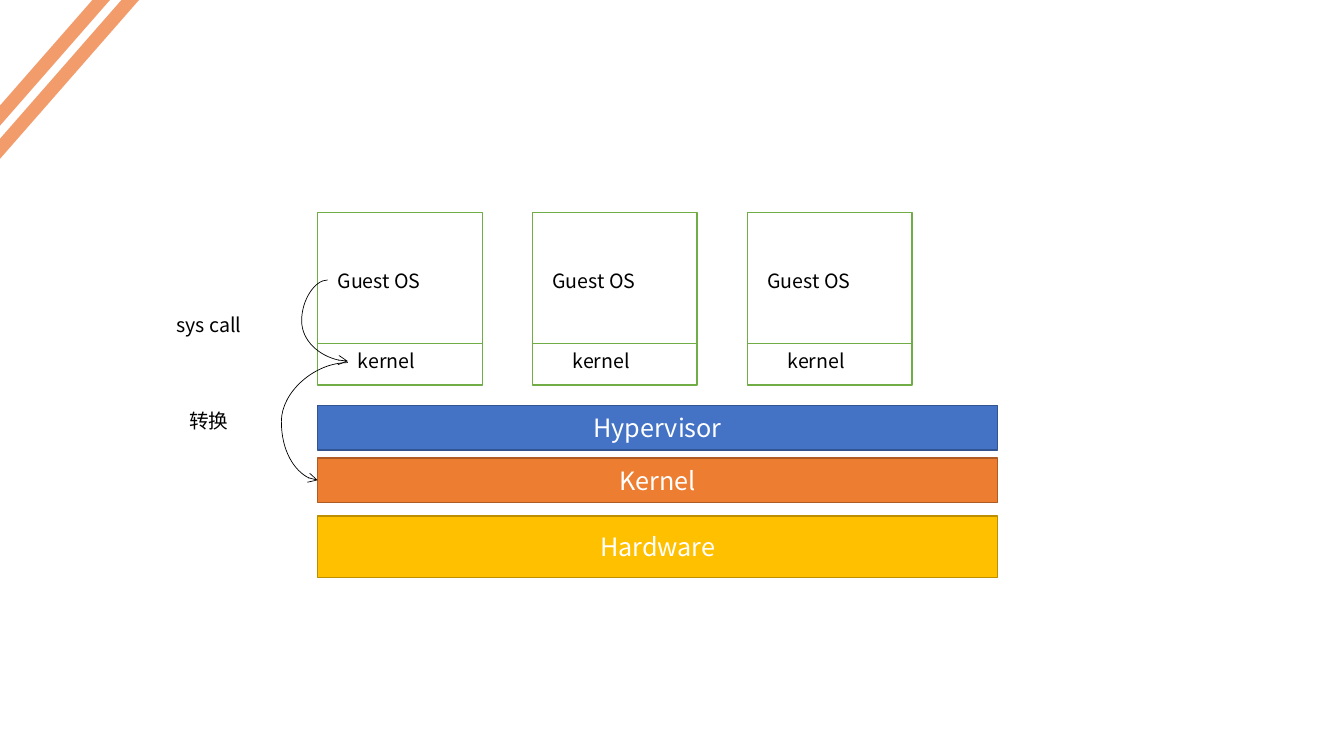
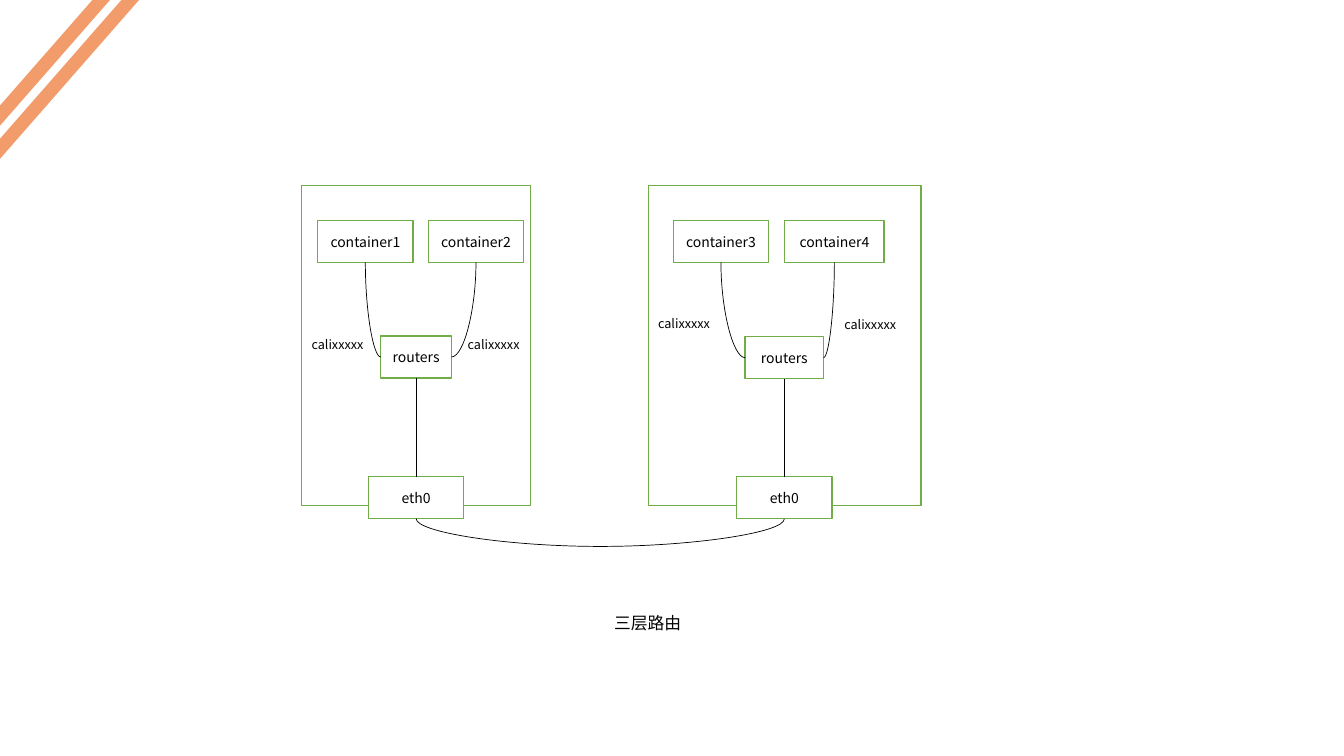
from lxml import etree
from pptx import Presentation
from pptx.dml.color import RGBColor
from pptx.enum.shapes import MSO_CONNECTOR, MSO_SHAPE
from pptx.enum.text import MSO_ANCHOR, PP_ALIGN
from pptx.oxml.ns import qn
from pptx.util import Pt

RECTANGLE = MSO_SHAPE.RECTANGLE
STRAIGHT, CURVE = MSO_CONNECTOR.STRAIGHT, MSO_CONNECTOR.CURVE
MIDDLE = MSO_ANCHOR.MIDDLE
LEFT, CENTER = PP_ALIGN.LEFT, PP_ALIGN.CENTER
TOP_SIDE, BOTTOM_SIDE = 0, 2

FONT = "Noto Sans CJK SC"
COLORS = {
    "stripe": "ED6A23", "white": "FFFFFF", "black": "000000", "green": "70AD47",
    "blue": "4472C4", "blue edge": "325491",
    "orange": "ED7D31", "orange edge": "AF5C24",
    "yellow": "FFC000", "yellow edge": "BD8E00",
}

# Corner stripes: left, top
STRIPES = [(-37.5, 49), (-49.5, 39)]
STRIPE_WIDTH, STRIPE_HEIGHT, STRIPE_ANGLE, STRIPE_ALPHA = 167, 9.5, 311.2, 67

# Virtual machine stack: label, fill, top, height
STACK_LEFT, STACK_WIDTH = 227, 485.5
LAYERS = [
    ("Hypervisor", "blue", 289.5, 32),
    ("Kernel", "orange", 327, 32),
    ("Hardware", "yellow", 368.5, 44),
]
GUEST_COUNT, GUEST_STEP = 3, 153.5
GUEST_TOP, GUEST_WIDTH, GUEST_HEIGHT, DIVIDER_TOP = 152, 117.5, 123, 245.5
# Text, offset from the guest's left side, top, width
GUEST_TEXTS = [("Guest OS", 7, 188, 104), ("kernel", 21.5, 245.5, 75)]
# Text, left, top, width
STEP_TEXTS = [("sys call", 119, 219.5, 78.5), ("转换", 128, 288, 59)]
# Start, end, x of the bulge
STEP_ARROWS = [
    ((234, 200), (248.5, 258), 215.5),
    ((248.5, 259), (227, 343), 201),
]

# Routed network
HOSTS = [
    {
        "left": 215.5, "width": 163.5, "center": 297.25,
        "router_top": 240, "router_width": 50.5,
        "containers": [("container1", 227, 68), ("container2", 306, 68)],
        "labels": [(215.5, 237), (327, 237)],
    },
    {
        "left": 463, "width": 195, "center": 560.25,
        "router_top": 240.5, "router_width": 56,
        "containers": [("container3", 481, 68), ("container4", 560.5, 71)],
        "labels": [(463, 222), (596, 222.5)],
    },
]
HOST_TOP, HOST_HEIGHT = 132.5, 228.5
CONTAINER_TOP, ETH_TOP, ETH_WIDTH, NODE_HEIGHT = 157.5, 340.5, 68, 30
LINK_DIP = 19.5
CAPTION = ("三层路由", 431.5, 434, 62.5, 21.5)


def color(name):
    return RGBColor.from_string(COLORS[name])


def add_text(shape, text, size, text_color, align, wrap=True):
    frame = shape.text_frame
    for name, value in {"word_wrap": wrap, "vertical_anchor": MIDDLE}.items():
        setattr(frame, name, value)
    para = frame.paragraphs[0]
    para.alignment = align
    span = para.add_run()
    span.text = text
    for name, value in {"name": FONT, "size": Pt(size)}.items():
        setattr(span.font, name, value)
    span.font.color.rgb = color(text_color)
    east_asian = etree.SubElement(span.font._element, qn("a:ea"))
    east_asian.set("typeface", FONT)


def add_box(page, left, top, width, height, fill="white", edge="green"):
    box = page.shapes.add_shape(RECTANGLE, Pt(left), Pt(top), Pt(width), Pt(height))
    box.shadow.inherit = False
    box.fill.solid()
    box.fill.fore_color.rgb = color(fill)
    if edge:
        box.line.color.rgb = color(edge)
        box.line.width = Pt(1)
    else:
        box.line.fill.background()
    return box


def add_node(page, text, left, top, width):
    node = add_box(page, left, top, width, NODE_HEIGHT)
    add_text(node, text, 10, "black", CENTER)
    return node


def add_label(page, text, left, top, width, height=24.5, size=14, wrap=True):
    label = page.shapes.add_textbox(Pt(left), Pt(top), Pt(width), Pt(height))
    add_text(label, text, size, "black", LEFT, wrap)


def add_line(page, start, end, kind=STRAIGHT, line_color="black"):
    line = page.shapes.add_connector(kind, *(Pt(value) for value in (*start, *end)))
    line.line.color.rgb = color(line_color)
    line.line.width = Pt(0.5)
    etree.SubElement(line._element.spPr, qn("a:effectLst"))
    return line


def set_bulge(curve, ratio):
    """Place the curve's middle at a ratio of its width."""
    geometry = curve._element.spPr.find(qn("a:prstGeom"))
    values = geometry.find(qn("a:avLst"))
    if values is None:
        values = etree.SubElement(geometry, qn("a:avLst"))
    guide = etree.SubElement(values, qn("a:gd"))
    guide.set("name", "adj1")
    guide.set("fmla", f"val {round(ratio * 100000)}")


def add_step_arrow(page, start, end, bulge):
    curve = add_line(page, start, end, CURVE)
    set_bulge(curve, (bulge - start[0]) / (end[0] - start[0]))
    head = etree.SubElement(curve.line._get_or_add_ln(), qn("a:tailEnd"))
    head.set("type", "arrow")


def add_quarter_curve(page, start, end):
    """Leave start sideways and reach end vertically."""
    curve = add_line(page, start, end, CURVE)
    curve._element.spPr.find(qn("a:prstGeom")).set("prst", "curvedConnector2")


def add_hanging_curve(page, left, right, top, dip):
    """Join two points of one height by a curve below them."""
    thickness, length = 0.25, right - left
    x, y = (left + right - thickness) / 2, top - length / 2
    curve = add_line(page, (x, y), (x + thickness, y + length), CURVE)
    frame = curve._element.spPr.find(qn("a:xfrm"))
    frame.set("rot", str(90 * 60000))
    frame.set("flipV", "1")
    set_bulge(curve, dip / thickness)


def add_page(deck):
    page = deck.slides.add_slide(deck.slide_layouts[6])
    for left, top in STRIPES:
        stripe = add_box(page, left, top, STRIPE_WIDTH, STRIPE_HEIGHT, "stripe", None)
        stripe.rotation = STRIPE_ANGLE
        fill = stripe._element.spPr.find(qn("a:solidFill"))
        alpha = etree.SubElement(fill[0], qn("a:alpha"))
        alpha.set("val", str(STRIPE_ALPHA * 1000))
    return page


def build_virtual_machines(deck):
    page = add_page(deck)
    for text, fill, top, height in LAYERS:
        layer = add_box(page, STACK_LEFT, top, STACK_WIDTH, height, fill, f"{fill} edge")
        add_text(layer, text, 18, "white", CENTER)
    for index in range(GUEST_COUNT):
        left = STACK_LEFT + index * GUEST_STEP
        add_box(page, left, GUEST_TOP, GUEST_WIDTH, GUEST_HEIGHT)
        add_line(page, (left, DIVIDER_TOP), (left + GUEST_WIDTH, DIVIDER_TOP),
                 line_color="green")
        for text, offset, top, width in GUEST_TEXTS:
            add_label(page, text, left + offset, top, width)
    for step_text in STEP_TEXTS:
        add_label(page, *step_text)
    for arrow in STEP_ARROWS:
        add_step_arrow(page, *arrow)


def add_host(page, host):
    center, router_top, router_width = (
        host[key] for key in ("center", "router_top", "router_width"))
    add_box(page, host["left"], HOST_TOP, host["width"], HOST_HEIGHT)
    router_left = center - router_width / 2
    router = add_node(page, "routers", router_left, router_top, router_width)
    eth = add_node(page, "eth0", center - ETH_WIDTH / 2, ETH_TOP, ETH_WIDTH)
    link = add_line(page, (center, router_top + NODE_HEIGHT), (center, ETH_TOP))
    link.begin_connect(router, BOTTOM_SIDE)
    link.end_connect(eth, TOP_SIDE)

    router_sides = (router_left, router_left + router_width)
    for (text, left, width), side in zip(host["containers"], router_sides):
        add_node(page, text, left, CONTAINER_TOP, width)
        add_quarter_curve(page, (side, router_top + NODE_HEIGHT / 2),
                          (left + width / 2, CONTAINER_TOP + NODE_HEIGHT))
    for left, top in host["labels"]:
        add_label(page, "calixxxxx", left, top, 52, 18, 9, wrap=False)


def build_network(deck):
    page = add_page(deck)
    for host in HOSTS:
        add_host(page, host)
    left, right = (host["center"] for host in HOSTS)
    add_hanging_curve(page, left, right, ETH_TOP + NODE_HEIGHT, LINK_DIP)
    add_label(page, *CAPTION, size=12, wrap=False)


def main():
    deck = Presentation()
    deck.slide_width, deck.slide_height = Pt(960), Pt(540)
    build_virtual_machines(deck)
    build_network(deck)
    deck.save("out.pptx")


if __name__ == "__main__":
    main()
